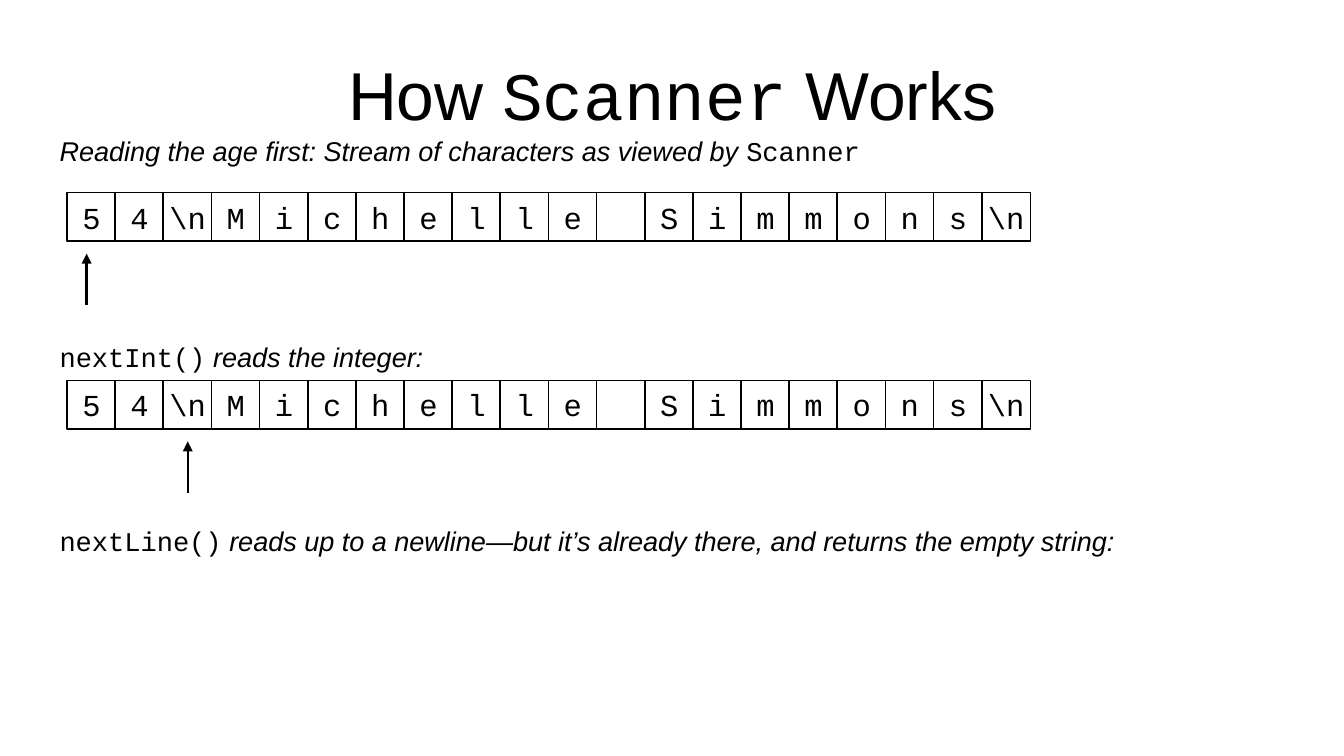
from lxml import etree
from pptx import Presentation
from pptx.dml.color import RGBColor
from pptx.enum import shapes, text
from pptx.oxml.ns import qn
from pptx.util import Inches, Pt

# Content: each run is (text, font, italic)
SANS, MONO = "Arial", "Courier New"
COLORS = {"ink": "000000", "cell": "FFFFFF"}
TITLE = [("How ", SANS, False), ("Scanner", MONO, False), (" Works", SANS, False)]
CAPTIONS = [  # top, width, runs
    (1.05, 6.77, [("Reading the age first: Stream of characters as viewed by ", SANS, True),
                  ("Scanner", MONO, False)]),
    (2.74, 3.19, [("nextInt()", MONO, False), (" reads the integer:", SANS, True)]),
    (4.25, 8.87, [("nextLine()", MONO, False),
                  (" reads up to a newline—but it’s already there, "
                   "and returns the empty string:", SANS, True)]),
]
STREAM = ["5", "4", "\\n", *"Michelle Simmons", "\\n"]
STREAM_ROWS = [(1.58, 0.71), (3.12, 1.54)]  # row top, arrow x

# Layout
FIRST_LEFT, LAST_LEFT, CELL = 0.55, 8.05, 0.4
PITCH = (LAST_LEFT - FIRST_LEFT) / (len(STREAM) - 1)
ARROW_GAP, ARROW_LENGTH = 0.1, 0.42

presentation = Presentation()
presentation.slide_width, presentation.slide_height = Inches(11.02), Inches(6.2)
slide = presentation.slides.add_slide(presentation.slide_layouts[6])


def color(name):
    return RGBColor.from_string(COLORS[name])


def write(shape, runs, size, margins, anchor, align, wrap=True):
    frame = shape.text_frame
    frame.word_wrap = wrap
    frame.vertical_anchor = anchor
    frame.margin_left = frame.margin_right = Inches(margins[0])
    frame.margin_top = frame.margin_bottom = Inches(margins[1])
    paragraph = frame.paragraphs[0]
    paragraph.alignment = align
    for content, font, italic in runs:
        run = paragraph.add_run()
        run.text = content
        run.font.name, run.font.size, run.font.italic = font, Pt(size), italic
        run.font.color.rgb = color("ink")


def add_text(left, top, width, height, *style):
    box = slide.shapes.add_textbox(Inches(left), Inches(top), Inches(width), Inches(height))
    write(box, *style)


def add_cell(left, top, character):
    cell = slide.shapes.add_shape(shapes.MSO_SHAPE.RECTANGLE, Inches(left), Inches(top),
                                  Inches(CELL), Inches(CELL))
    cell.shadow.inherit = False
    cell.fill.solid()
    cell.fill.fore_color.rgb = color("cell")
    cell.line.color.rgb = color("ink")
    cell.line.width = Pt(1)
    if character.strip():
        write(cell, [(character, MONO, False)], 18, (0.11, 0.06),
              text.MSO_ANCHOR.MIDDLE, text.PP_ALIGN.CENTER, False)


def add_arrow(x, tip):
    arrow = slide.shapes.add_connector(shapes.MSO_CONNECTOR.STRAIGHT, Inches(x),
                                       Inches(tip + ARROW_LENGTH), Inches(x), Inches(tip))
    arrow.line.color.rgb = color("ink")
    arrow.line.width = Pt(1.5)
    etree.SubElement(arrow.line._get_or_add_ln(), qn("a:tailEnd"), type="triangle")
    etree.SubElement(arrow._element.spPr, qn("a:effectLst"))


# Title and captions
add_text(0.55, 0.25, 9.92, 1.04, TITLE, 40, (0, 0),
         text.MSO_ANCHOR.MIDDLE, text.PP_ALIGN.CENTER)
for top, width, runs in CAPTIONS:
    add_text(0.39, top, width, 0.37, runs, 16, (0.1, 0.05),
             text.MSO_ANCHOR.TOP, text.PP_ALIGN.LEFT)

# Character streams with the read position
for top, arrow_x in STREAM_ROWS:
    for index, character in enumerate(STREAM):
        add_cell(FIRST_LEFT + index * PITCH, top, character)
    add_arrow(arrow_x, top + CELL + ARROW_GAP)

presentation.save("out.pptx")
